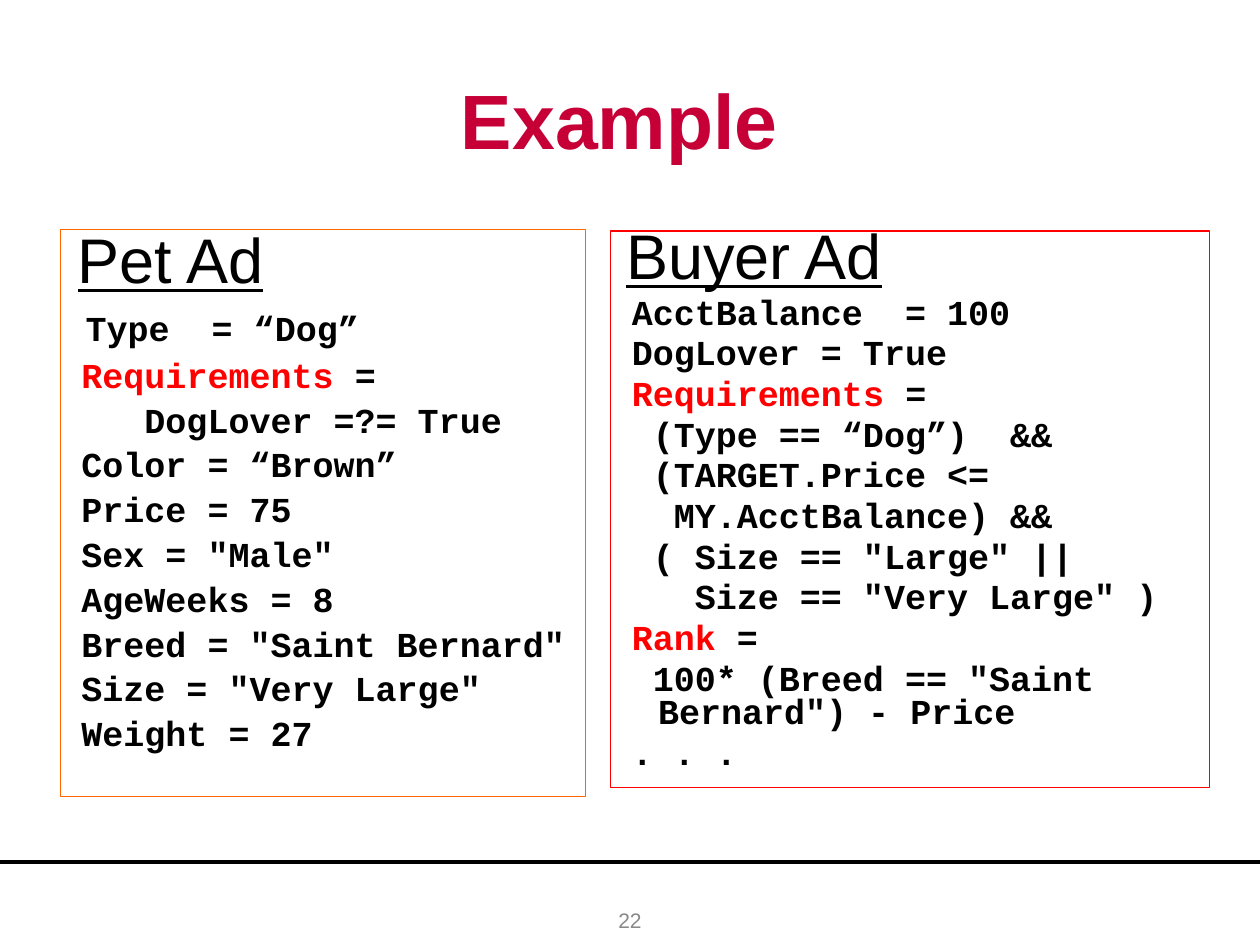
from pptx import Presentation
from pptx.dml.color import RGBColor
from pptx.enum.shapes import MSO_CONNECTOR
from pptx.enum.text import MSO_ANCHOR, MSO_AUTO_SIZE, PP_ALIGN
from pptx.oxml.ns import qn
from pptx.util import Pt
from lxml.etree import SubElement

BLACK = RGBColor(0x00, 0x00, 0x00)
CRIMSON = RGBColor(0xC6, 0x00, 0x36)
ORANGE = RGBColor(0xFF, 0x66, 0x00)
RED = RGBColor(0xFF, 0x00, 0x00)
GRAY = RGBColor(0x89, 0x89, 0x89)

SANS = "Arial"
MONO = "Courier New"
KEYWORDS = ("Requirements", "Rank")

PET_LINES = [
    "Type  = “Dog”",
    "Requirements =",
    "   DogLover =?= True",
    "Color = “Brown”",
    "Price = 75",
    'Sex = "Male"',
    "AgeWeeks = 8",
    'Breed = "Saint Bernard"',
    'Size = "Very Large"',
    "Weight = 27",
]
BUYER_LINES = [
    "AcctBalance  = 100",
    "DogLover = True",
    "Requirements =",
    " (Type == “Dog”)  &&",
    " (TARGET.Price <=",
    "  MY.AcctBalance) &&",
    ' ( Size == "Large" ||',
    '   Size == "Very Large" )',
    "Rank =",
    ' 100* (Breed == "Saint Bernard") - Price',
    ". . .",
]


def add_text(paragraph, text, size=20, font=MONO, color=BLACK, bold=False, underline=False):
    run = paragraph.add_run()
    run.text = text
    run.font.size = Pt(size)
    run.font.name = font
    run.font.color.rgb = color
    run.font.bold = bold
    run.font.underline = underline


def place(shape, box):
    shape.left, shape.top, shape.width, shape.height = (Pt(value) for value in box)


def prepare_frame(shape, anchor):
    frame = shape.text_frame
    frame.word_wrap = True
    frame.auto_size = MSO_AUTO_SIZE.NONE
    frame.vertical_anchor = anchor
    frame.margin_left = frame.margin_top = frame.margin_right = frame.margin_bottom = 0
    return frame


def format_line(paragraph, spacing):
    paragraph.line_spacing = spacing
    properties = paragraph._p.get_or_add_pPr()
    properties.set("marL", str(Pt(27)))
    properties.set("indent", str(Pt(-27)))
    before = SubElement(properties, qn("a:spcBef"))
    SubElement(before, qn("a:spcPct")).set("val", "20000")
    SubElement(properties, qn("a:buNone"))


def fill_title(shape, box):
    place(shape, box)
    paragraph = prepare_frame(shape, MSO_ANCHOR.MIDDLE).paragraphs[0]
    paragraph.alignment = PP_ALIGN.CENTER
    add_text(paragraph, "Example", size=44, font=SANS, color=CRIMSON, bold=True)


def fill_ad(shape, box, heading, lines, outline, spacing, heading_lead=36, first_lead=20):
    place(shape, box)
    shape.line.color.rgb = outline
    shape.line.width = Pt(0.75)
    frame = prepare_frame(shape, MSO_ANCHOR.TOP)

    paragraph = frame.paragraphs[0]
    format_line(paragraph, spacing)
    add_text(paragraph, " ", size=heading_lead, font=SANS)
    add_text(paragraph, heading, size=36, font=SANS, underline=True)

    for index, line in enumerate(lines):
        paragraph = frame.add_paragraph()
        format_line(paragraph, spacing)
        add_text(paragraph, " ", size=20 if index else first_lead, bold=True)
        name, equals, rest = line.partition(" =")
        if name in KEYWORDS:
            add_text(paragraph, name, color=RED, bold=True)
            add_text(paragraph, equals + rest, bold=True)
        else:
            add_text(paragraph, line, bold=True)


def add_footer(slide, box):
    left, top, width, height = box
    rule = slide.shapes.add_connector(
        MSO_CONNECTOR.STRAIGHT, Pt(left), Pt(top), Pt(left + width), Pt(top))
    rule.line.color.rgb = BLACK
    rule.line.width = Pt(2.25)
    SubElement(rule._element.spPr, qn("a:effectLst"))

    number_width, number_height = 168, 28.8
    number = slide.shapes.add_textbox(
        Pt(left + (width - number_width) / 2), Pt(top + height - number_height),
        Pt(number_width), Pt(number_height))
    paragraph = prepare_frame(number, MSO_ANCHOR.MIDDLE).paragraphs[0]
    paragraph.alignment = PP_ALIGN.CENTER
    add_text(paragraph, "22", size=12, font=SANS, color=GRAY)


def main():
    presentation = Presentation()
    presentation.slide_width = Pt(720)
    presentation.slide_height = Pt(540)
    slide = presentation.slides.add_slide(presentation.slide_layouts[3])
    title, pet, buyer = slide.placeholders

    fill_title(title, (48, 32, 612, 72))
    fill_ad(pet, (34.5, 131, 300, 324), "Pet Ad", PET_LINES, ORANGE, 0.9, first_lead=24)
    fill_ad(buyer, (349, 132, 342, 318), "Buyer Ad", BUYER_LINES, RED, 0.8, heading_lead=32)
    add_footer(slide, (0, 492.5, 720, 47.5))
    presentation.save("out.pptx")


if __name__ == "__main__":
    main()
